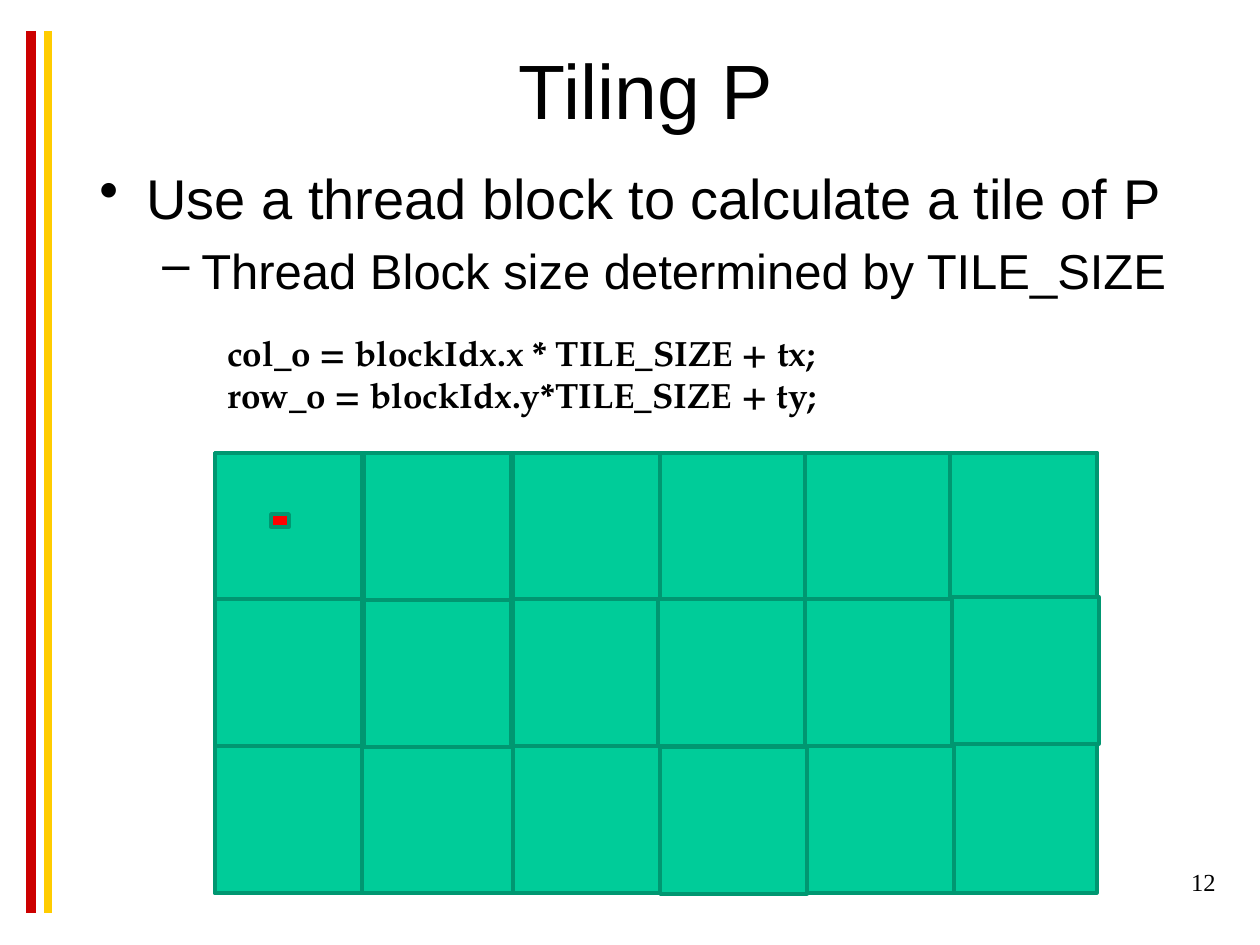
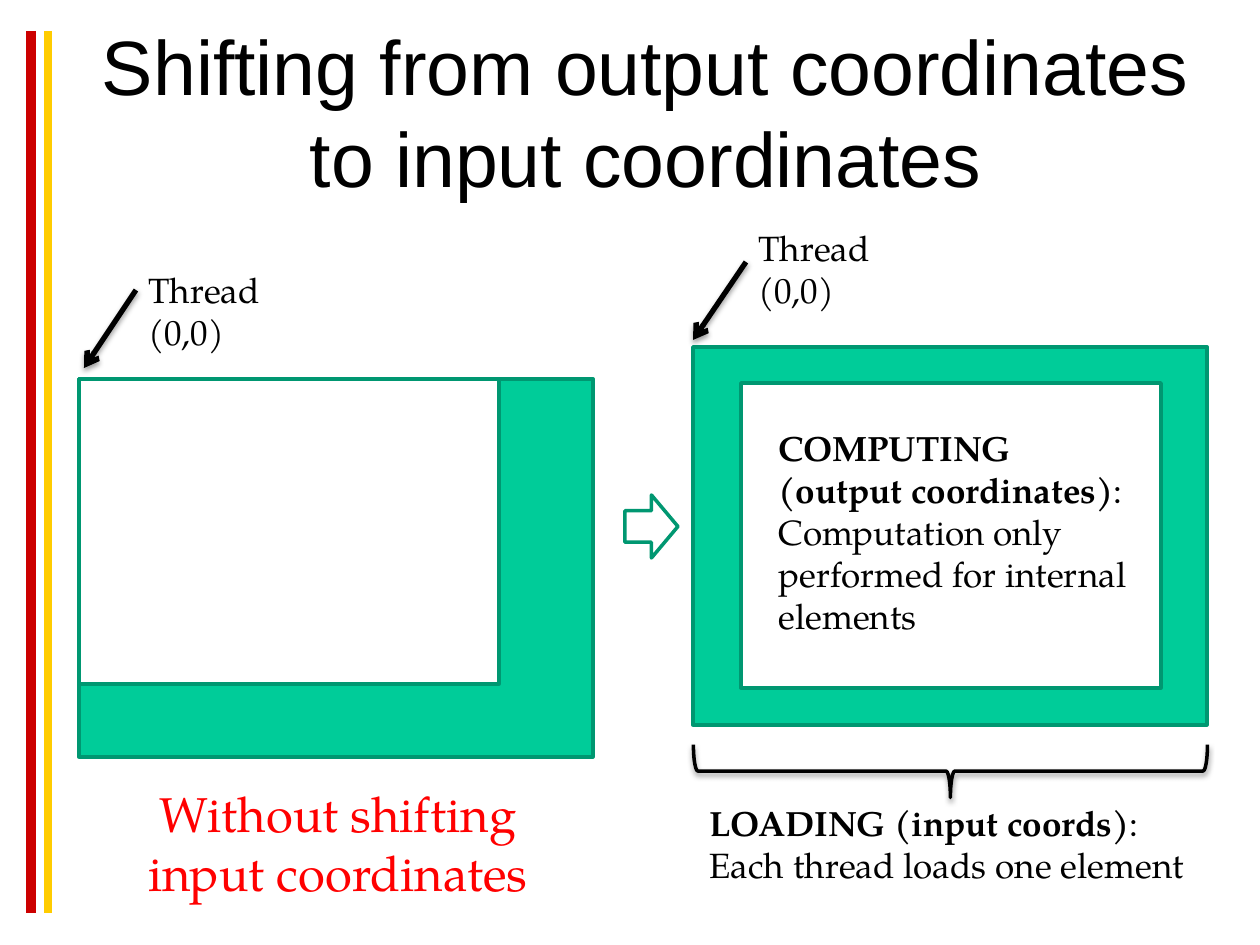
from dataclasses import dataclass
from itertools import product
from typing import Any, NamedTuple, Optional, Sequence

from lxml.etree import SubElement
from pptx import Presentation
from pptx.dml.color import RGBColor
from pptx.enum.shapes import MSO_CONNECTOR as Connector, MSO_SHAPE as Preset
from pptx.enum.text import MSO_ANCHOR as Anchor, PP_ALIGN as Align
from pptx.oxml.ns import qn
from pptx.util import Emu, Pt

PIXELS_PER_INCH = 126


@dataclass(frozen=True)
class Theme:
    black: str = "000000"
    white: str = "FFFFFF"
    red: str = "FF0000"
    band_red: str = "CC0000"
    band_gold: str = "FFCC00"
    green: str = "00CC99"
    outline: str = "009771"
    heading_font: str = "Arial"
    note_font: str = "TeX Gyre Pagella"
    number_font: str = "Times New Roman"
    title_size: int = 44
    body_size: int = 32
    sub_size: int = 28
    note_size: int = 20
    number_size: int = 14
    outline_width: int = 2


THEME = Theme()


class Box(NamedTuple):
    left: int
    top: int
    width: int
    height: int


class Point(NamedTuple):
    x: int
    y: int


class Span(NamedTuple):
    text: str
    bold: bool = False


class Bullet(NamedTuple):
    mark: str
    margin: int
    hanging: int
    size: int


class Stripe(NamedTuple):
    x: int
    color: str
    width: float


class Frame(NamedTuple):
    outer: Box
    inner: Box
    label: Box
    arrow_start: Point
    arrow_end: Point


STRIPES = (Stripe(31, THEME.band_red, 6), Stripe(48, THEME.band_gold, 4.5))


def px(pixels: float) -> Emu:
    return Emu(round(pixels * 914400 / PIXELS_PER_INCH))


def rgb(color: str) -> RGBColor:
    return RGBColor.from_string(color)


def set_shadow(item: Any, soft: bool = False) -> None:
    """Replace the theme shadow by none or by a soft one; call after the line is set."""
    effects = SubElement(item._element.spPr, qn("a:effectLst"))
    if soft:
        outer = SubElement(effects, qn("a:outerShdw"), blurRad=str(Pt(3.1)),
                           dist=str(Pt(1.6)), dir="5400000", rotWithShape="0")
        color = SubElement(outer, qn("a:srgbClr"), val=THEME.black)
        SubElement(color, qn("a:alpha"), val="38000")


def add_line(page: Any, start: Point, end: Point, color: str, width: float,
             arrow: bool = False) -> None:
    line = page.shapes.add_connector(Connector.STRAIGHT, px(start.x), px(start.y),
                                     px(end.x), px(end.y))
    line.line.color.rgb = rgb(color)
    line.line.width = Pt(width)
    if arrow:
        SubElement(line._element.spPr.find(qn("a:ln")), qn("a:tailEnd"), type="arrow")
    set_shadow(line, soft=arrow)


def add_preset(page: Any, preset: Preset, box: Box, fill: Optional[str] = None,
               line: str = THEME.outline, rotation: int = 0, soft: bool = False) -> None:
    shape = page.shapes.add_shape(preset, *map(px, box))
    shape.rotation = rotation
    if fill:
        shape.fill.solid()
        shape.fill.fore_color.rgb = rgb(fill)
    else:
        shape.fill.background()
    shape.line.color.rgb = rgb(line)
    shape.line.width = Pt(THEME.outline_width)
    set_shadow(shape, soft)


def add_text(page: Any, box: Box, *paragraphs: Sequence[Span], size: int = THEME.note_size,
             font: str = THEME.note_font, color: str = THEME.black,
             align: Align = Align.LEFT, anchor: Anchor = Anchor.TOP,
             bullets: Sequence[Bullet] = ()) -> None:
    """Write paragraphs of spans; a newline in a span is a line break."""
    frame = page.shapes.add_textbox(*map(px, box)).text_frame
    frame.word_wrap = True
    frame.vertical_anchor = anchor
    for index, spans in enumerate(paragraphs):
        para = frame.paragraphs[0] if index == 0 else frame.add_paragraph()
        para.alignment = align
        para_size = size
        if bullets:
            bullet = bullets[index]
            para_size = bullet.size
            para.level = index
            para.space_before = Pt(bullet.size * 0.2)
            settings = para._p.get_or_add_pPr()
            settings.set("marL", str(px(bullet.margin)))
            settings.set("indent", str(-px(bullet.hanging)))
            SubElement(settings, qn("a:buChar"), char=bullet.mark)
        for span in spans:
            for part, text in enumerate(span.text.split("\n")):
                if part:
                    para.add_line_break()
                if not text:
                    continue
                run = para.add_run()
                run.text = text
                run.font.name = font
                run.font.size = Pt(para_size)
                run.font.bold = span.bold
                run.font.color.rgb = rgb(color)


def add_page(deck: Any, title: str, title_top: int) -> Any:
    """Add a blank page with the side stripes and a centred title."""
    page = deck.slides.add_slide(deck.slide_layouts[6])
    for stripe in STRIPES:
        add_line(page, Point(stripe.x, 31), Point(stripe.x, 913), stripe.color, stripe.width)
    add_text(page, Box(63, title_top, 1166, 116), [Span(title)], size=THEME.title_size,
             font=THEME.heading_font, align=Align.CENTER, anchor=Anchor.MIDDLE)
    return page


def build_tiling(deck: Any) -> None:
    page = add_page(deck, "Tiling P", 31)
    add_text(page, Box(87, 157, 1144, 655),
             [Span("Use a thread block to calculate a tile of P")],
             [Span("Thread Block size determined by TILE_SIZE")],
             font=THEME.heading_font,
             bullets=(Bullet("•", 47, 47, THEME.body_size),
                      Bullet("–", 102, 39, THEME.sub_size)))
    add_text(page, Box(966, 861, 262, 63), [Span("12")], size=THEME.number_size,
             font=THEME.number_font, align=Align.RIGHT)

    # Output matrix; two tiles of the last row are left to the backing rectangle
    add_preset(page, Preset.RECTANGLE, Box(215, 453, 882, 440), THEME.green)
    columns = (215, 364, 513, 660, 805, 950)
    rows = (453, 599, 746)
    nudges = {(1, 1): (0, 1), (1, 3): (-2, 0), (1, 5): (2, -2),
              (2, 3): (0, 1), (2, 4): (2, 0)}
    for row, column in product(range(len(rows)), range(len(columns))):
        if (row, column) in ((2, 1), (2, 5)):
            continue
        shift_x, shift_y = nudges.get((row, column), (0, 0))
        add_preset(page, Preset.RECTANGLE,
                   Box(columns[column] + shift_x, rows[row] + shift_y, 147, 147), THEME.green)
    add_preset(page, Preset.RECTANGLE, Box(271, 514, 18, 13), THEME.red)

    # Index formulas
    add_text(page, Box(215, 325, 828, 97),
             [Span("col_o = blockIdx.x * TILE_SIZE + tx;", bold=True)],
             [Span("row_o = blockIdx.y*TILE_SIZE + ty;", bold=True)])


def build_shifting(deck: Any) -> None:
    page = add_page(deck, "Shifting from output coordinates to input coordinates", 53)

    # Tiles before and after the shift, with their first thread
    frames = (
        Frame(Box(79, 379, 514, 378), Box(79, 379, 420, 305), Box(136, 262, 214, 97),
              Point(136, 290), Point(84, 368)),
        Frame(Box(693, 347, 514, 378), Box(741, 383, 420, 305), Box(746, 220, 214, 97),
              Point(746, 262), Point(693, 340)),
    )
    for frame in frames:
        add_preset(page, Preset.RECTANGLE, frame.outer, THEME.green)
        add_preset(page, Preset.RECTANGLE, frame.inner, THEME.white)
        add_text(page, frame.label, [Span("Thread\n(0,0)")])
        add_line(page, frame.arrow_start, frame.arrow_end, THEME.black, 3, arrow=True)
    add_preset(page, Preset.RIGHT_ARROW, Box(625, 495, 53, 63))

    # Explanations
    add_text(page, Box(766, 420, 388, 224),
             [Span("COMPUTING \n(output coordinates)", bold=True),
              Span(":\nComputation only performed for internal elements")])
    add_text(page, Box(697, 795, 504, 97),
             [Span("LOADING (input coords)", bold=True),
              Span(":\nEach thread loads one element")])
    add_text(page, Box(91, 777, 494, 131), [Span("Without shifting input coordinates")],
             size=THEME.sub_size, color=THEME.red, align=Align.CENTER)
    add_preset(page, Preset.LEFT_BRACE, Box(924, 514, 53, 514), line=THEME.black,
               rotation=270, soft=True)


def main() -> None:
    deck = Presentation()
    deck.slide_width = px(1260)
    deck.slide_height = px(945)
    build_tiling(deck)
    build_shifting(deck)
    deck.save("out.pptx")


main()
